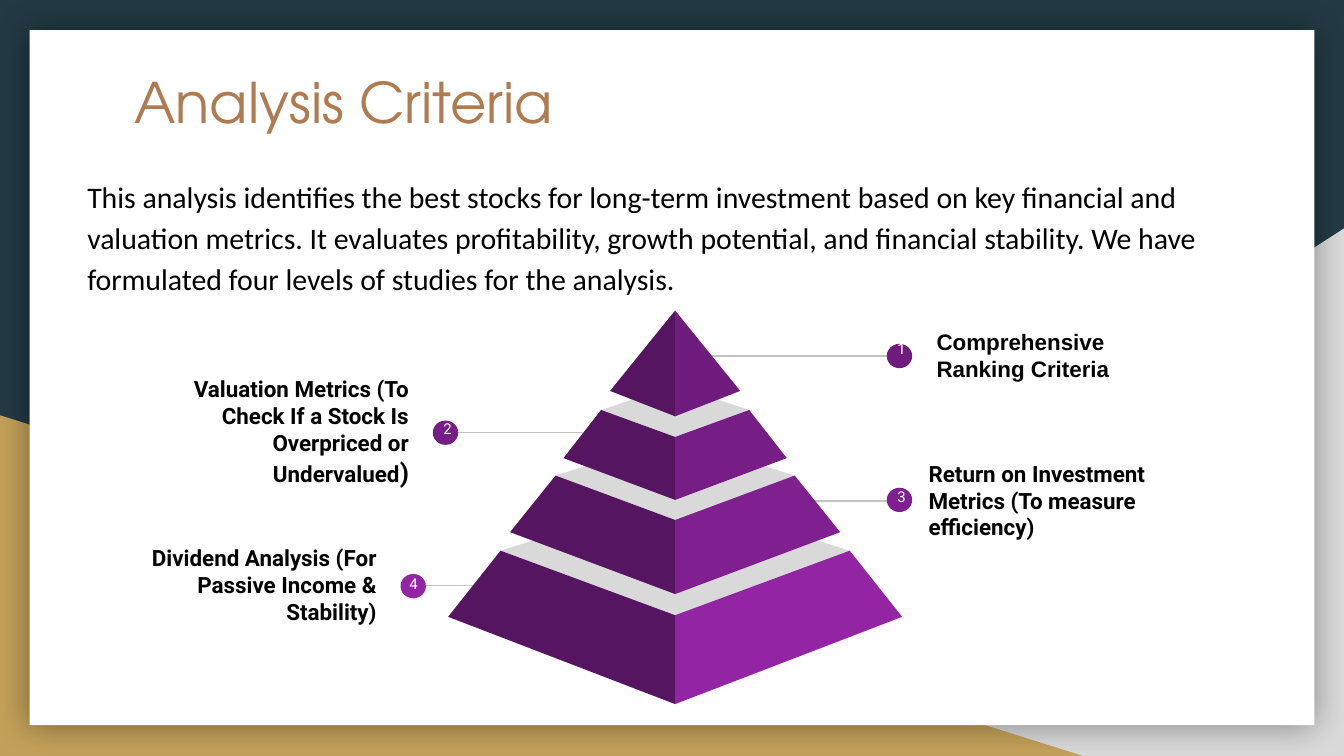
import pptx
import pptx.util
import pptx.dml.color
import pptx.enum.shapes
import pptx.enum.text
import pptx.oxml
from pptx.oxml.ns import qn

Cm, Pt = pptx.util.Cm, pptx.util.Pt
KIND = pptx.enum.shapes.MSO_SHAPE
ALIGN = pptx.enum.text.PP_ALIGN
ANCHOR = pptx.enum.text.MSO_ANCHOR
RGB = pptx.dml.color.RGBColor.from_string

HUES = {
    "navy": "233A44", "grey": "D9D9D9", "gold": "C4A15A", "white": "FFFFFF",
    "black": "000000", "brown": "AF7B51", "rule": "C2C2C2", "dark": "561561",
    1: "701C7F", 2: "771E86", 3: "802090", 4: "9325A5",
}

deck = pptx.Presentation()
deck.slide_width, deck.slide_height = Cm(25.4), Cm(14.29)
slide = deck.slides.add_slide(deck.slide_layouts[6])
slide.background.fill.solid()
slide.background.fill.fore_color.rgb = RGB(HUES["navy"])
shapes = slide.shapes


def paint(shape, hue):
    shape.shadow.inherit = False
    shape.fill.solid()
    shape.fill.fore_color.rgb = RGB(HUES[hue])
    shape.line.fill.background()


def write(words, box, size=12, font="Roboto", hue="black", bold=False,
          align=ALIGN.LEFT, anchor=ANCHOR.TOP, space=1.0, tail="", tail_size=14):
    frame = shapes.add_textbox(*map(Cm, box)).text_frame
    frame.word_wrap = True
    frame.vertical_anchor = anchor
    frame.margin_left = frame.margin_right = Cm(0.25)
    frame.margin_top = frame.margin_bottom = Cm(0.25)
    para = frame.paragraphs[0]
    para.alignment, para.line_spacing = align, space
    for part, points in ((words, size), (tail, tail_size)):
        if part:
            run = para.add_run()
            run.text = part
            run.font.size, run.font.name, run.font.bold = Pt(points), font, bold
            run.font.color.rgb = RGB(HUES[hue])


for kind, box, hue, flip in (
    (KIND.RIGHT_TRIANGLE, (9.96, 4.32, 15.44, 9.97), "grey", True),
    (KIND.RIGHT_TRIANGLE, (0, 7.85, 20.47, 6.44), "gold", False),
    (KIND.RECTANGLE, (0.56, 0.57, 24.28, 13.14), "white", False),
):
    panel = shapes.add_shape(kind, *map(Cm, box))
    paint(panel, hue)
    if flip:
        panel._element.spPr.find(qn("a:xfrm")).set("flipH", "1")

glow = panel._element.spPr.find(qn("a:effectLst"))
glow.append(pptx.oxml.parse_xml(
    '<a:outerShdw xmlns:a="http://schemas.openxmlformats.org/drawingml/2006/main" '
    f'blurRad="{Pt(18)}" dist="0" dir="0" algn="ctr" rotWithShape="0">'
    f'<a:srgbClr val="{HUES["black"]}"><a:alpha val="40000"/></a:srgbClr></a:outerShdw>'))

write("Analysis Criteria", (2.29, 1.02, 20.85, 2.64), size=30,
      font="TeX Gyre Adventor", hue="brown")
write("This analysis identifies the best stocks for long-term investment based on key "
      "financial and valuation metrics. It evaluates profitability, growth potential, "
      "and financial stability. We have formulated four levels of studies for the analysis.",
      (1.4, 3.02, 22.76, 1.98), size=16, font="Calibri", space=1.15)

levels = (
    (1, "Comprehensive Ranking Criteria", "", "Arial",
     (17.45, 5.51), (13.41, 17.2), 6.73, (16.76, 6.5), (16.71, 6.25)),
    (2, "Valuation Metrics (To Check If a Stock Is Overpriced or Undervalued", ")", "Roboto",
     (2.9, 6.96), (11.02, 8.26), 8.18, (8.18, 7.95), (8.13, 7.77)),
    (3, "Return on Investment Metrics (To measure efficiency)", "", "Roboto",
     (17.3, 8.26), (15.34, 17.2), 9.47, (16.76, 9.22), (16.71, 9.04)),
    (4, "Dividend Analysis (For Passive Income & Stability)", "", "Roboto",
     (2.29, 9.86), (10.39, 7.62), 11.07, (7.57, 10.85), (7.49, 10.69)),
)
for num, words, tail, font, spot, (start, end), high, dot, mark in levels:
    write(words, (*spot, 5.08, 2.39), font=font, bold=True, anchor=ANCHOR.MIDDLE,
          align=ALIGN.LEFT if num % 2 and end > start else ALIGN.RIGHT, tail=tail)
    rule = shapes.add_connector(pptx.enum.shapes.MSO_CONNECTOR.STRAIGHT,
                                Cm(start), Cm(high), Cm(end), Cm(high))
    rule.line.color.rgb = RGB(HUES["rule"])
    rule.line.width = Pt(0.75)
    pptx.oxml.xmlchemy.OxmlElement
    rule._element.spPr.append(pptx.oxml.parse_xml(
        '<a:effectLst xmlns:a="http://schemas.openxmlformats.org/drawingml/2006/main"/>'))
    paint(shapes.add_shape(KIND.OVAL, *map(Cm, (*dot, 0.48, 0.46))), num)
    write(str(num), (*mark, 0.61, 0.76), size=8, hue="white", align=ALIGN.CENTER)

mid = 12.76
caps = ((3.3, 9.37, 10.41, 11.66), (2.87, 8.94, 9.86, 10.9),
        (2.26, 8.28, 8.99, 9.86), (1.4, 7.29, 7.75, 8.26))
faces = ((1, 0, 5.87, 5.87, 7.87, 1.23, 7.39), (2, 1.4, 7.75, 8.26, 9.45, 2.11, 8.66),
         (3, 2.26, 8.99, 9.83, 11.23, 3.12, 10.06), (4, 3.3, 10.41, 11.63, 13.31, 4.29, 11.66))

plates = [("grey", ((mid - half, side), (mid, low), (mid + half, side), (mid, top)))
          for half, top, side, low in caps]
for num, near, top, crest, base, far, foot in faces:
    for sign, hue in ((-1, "dark"), (1, num)):
        plates.append((hue, ((mid + sign * near, top), (mid, crest),
                             (mid, base), (mid + sign * far, foot))))

for hue, spots in plates:
    spots = [(Cm(x), Cm(y)) for x, y in spots]
    form = shapes.build_freeform(*spots[0])
    form.add_line_segments(spots[1:], close=True)
    paint(form.convert_to_shape(), hue)

deck.save("out.pptx")
